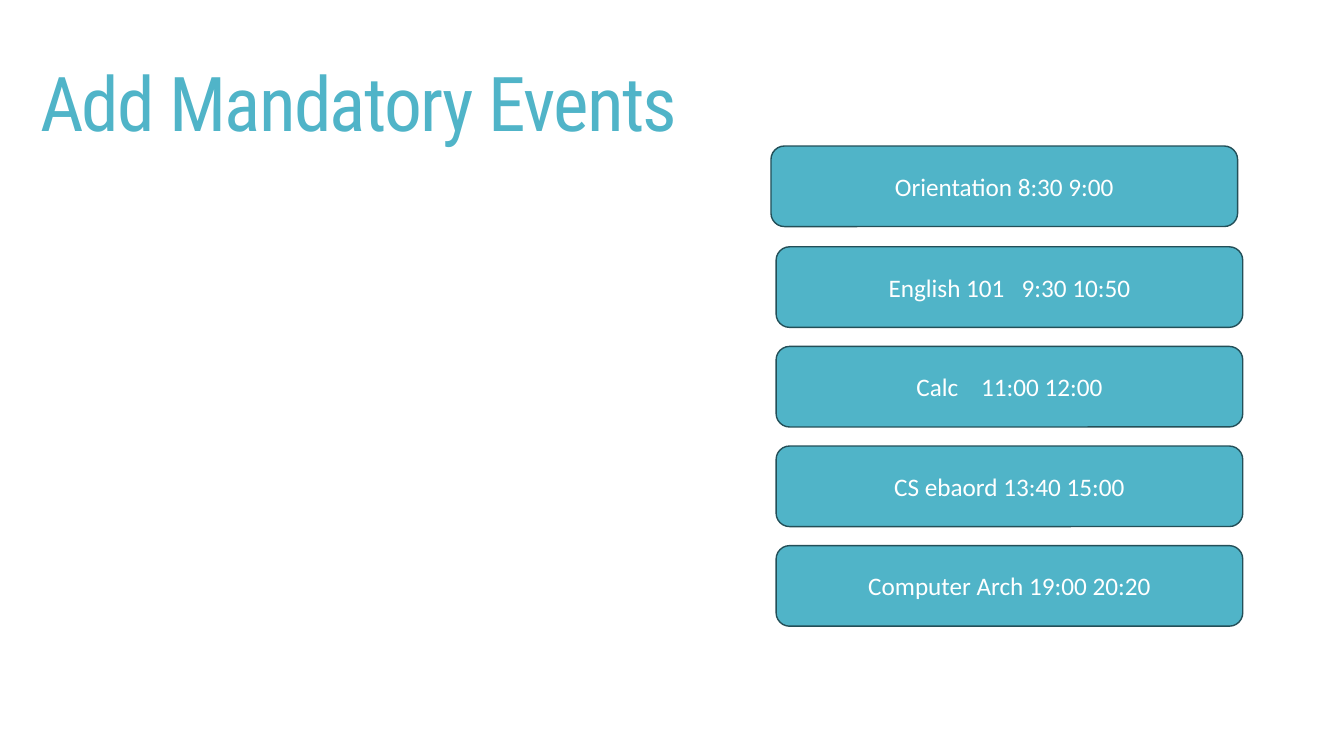
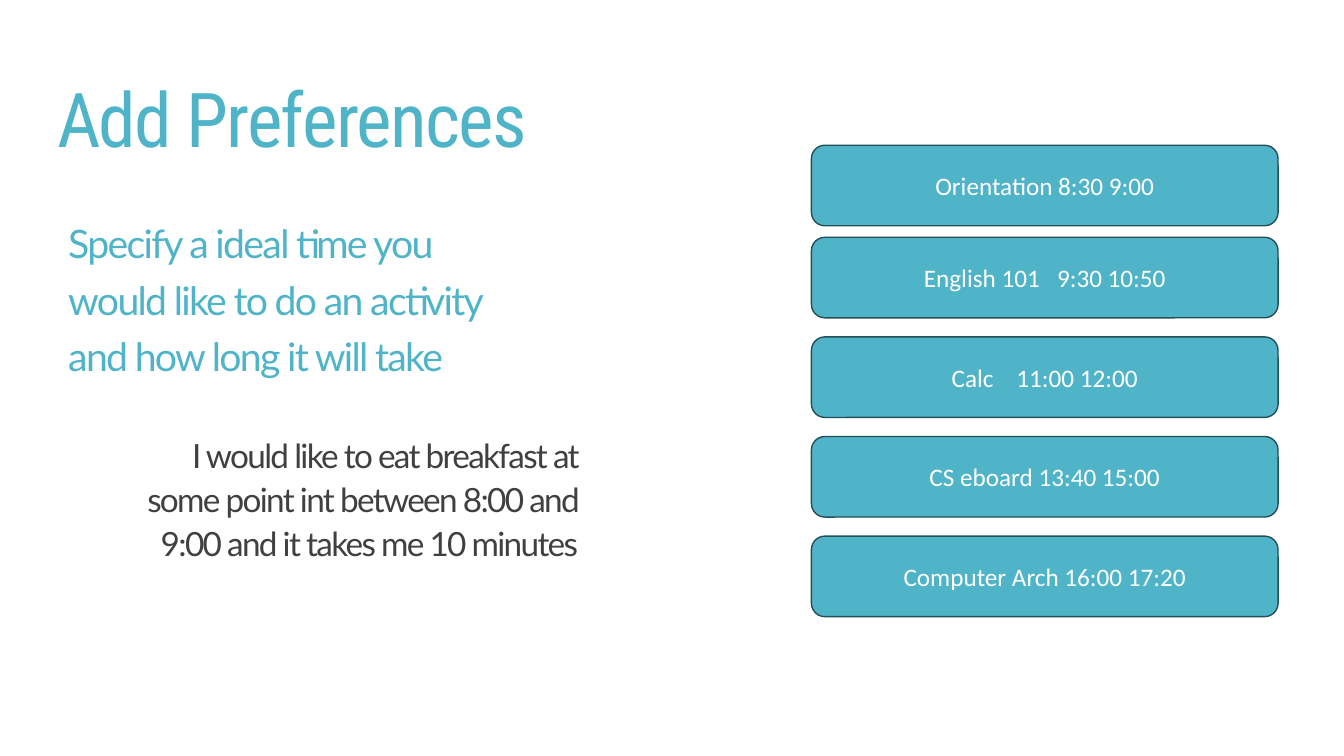
import pptx
import pptx.util
import pptx.dml.color
import pptx.enum.shapes
import pptx.enum.text

Cm = pptx.util.Cm
Pt = pptx.util.Pt
ALIGN = pptx.enum.text.PP_ALIGN
MIDDLE = pptx.enum.text.MSO_ANCHOR.MIDDLE
ROUND = pptx.enum.shapes.MSO_SHAPE.ROUNDED_RECTANGLE

HUES = {"teal": "50B4C8", "edge": "234F58", "dark": "404040", "white": "FFFFFF"}
STYLES = {
    "title": dict(size=54, face="Roboto Condensed", hue="teal", track=-1.2),
    "lead": dict(size=28, face="Lato", hue="teal", track=-1.2),
    "quote": dict(size=23.8, face="Lato", hue="dark", track=-1.2),
    "card": dict(size=18, face="Calibri", hue="white"),
}
CARD = (11.76, 2.03)
PITCH = 2.51
SPACE = 4.07


def tint(name):
    return pptx.dml.color.RGBColor.from_string(HUES[name])


def add_run(para, text, size, face, hue, track=0):
    run = para.add_run()
    run.text = text
    run.font.size = Pt(size)
    run.font.name = face
    run.font.color.rgb = tint(hue)
    if track:
        run._r.get_or_add_rPr().set("spc", str(round(track * 100)))


def add_text(slide, box, lines, style, lead, align=ALIGN.LEFT):
    frame = slide.shapes.add_textbox(*map(Cm, box)).text_frame
    frame.word_wrap = True
    frame.vertical_anchor = MIDDLE
    for i, line in enumerate(lines):
        para = frame.add_paragraph() if i else frame.paragraphs[0]
        para.alignment = align
        para.line_spacing = lead
        add_run(para, line, **STYLES[style])


def add_title(slide, left, top, text):
    add_text(slide, (left, top, 29.92, 4.6), [text], "title", 0.85)


def add_card(slide, left, top, name, hours, gap=1):
    card = slide.shapes.add_shape(ROUND, *map(Cm, (left, top, *CARD)))
    card.shadow.inherit = False
    card.fill.solid()
    card.fill.fore_color.rgb = tint("teal")
    card.line.color.rgb = tint("edge")
    card.line.width = Pt(1)
    frame = card.text_frame
    frame.word_wrap = True
    frame.vertical_anchor = MIDDLE
    para = frame.paragraphs[0]
    para.alignment = ALIGN.CENTER
    style = STYLES["card"]
    add_run(para, name, **style)
    add_run(para, " ", **style, track=(gap - 1) * SPACE)
    add_run(para, hours, **style)


def add_stack(slide, left, top, events):
    for i, event in enumerate(events):
        add_card(slide, left, top + i * PITCH, *event)


def add_day(slide, first, rest, club, arch):
    add_stack(slide, *rest, [
        ("English 101", "9:30 10:50", 3),
        ("Calc", "11:00 12:00", 4),
        (club, "13:40 15:00"),
        ("Computer Arch", arch),
    ])
    add_card(slide, *first, "Orientation", "8:30 9:00")


def build_events(slide):
    add_title(slide, 0.76, 0.43, "Add Mandatory Events")
    add_day(slide, (19.43, 3.68), (19.56, 6.22), "CS ebaord", "19:00 20:20")


def build_wishes(slide):
    add_title(slide, 1.19, 0.84, "Add Preferences")
    add_text(slide, (1.47, 5.13, 11.43, 4.6), [
        "Specify a ideal time you",
        "would like to do an activity",
        "and how long it will take",
    ], "lead", 1.2)
    add_text(slide, (3.38, 10.24, 11.43, 4.6), [
        "I would like to eat breakfast at some point int between "
        "8:00 and 9:00 and it takes me 10 minutes",
    ], "quote", 1.1, ALIGN.RIGHT)
    add_day(slide, (20.45, 3.66), (20.45, 5.98), "CS eboard", "16:00 17:20")


def main():
    deck = pptx.Presentation()
    deck.slide_width = Cm(33.87)
    deck.slide_height = Cm(19.05)
    for build in (build_events, build_wishes):
        build(deck.slides.add_slide(deck.slide_layouts[6]))
    deck.save("out.pptx")


if __name__ == "__main__":
    main()
